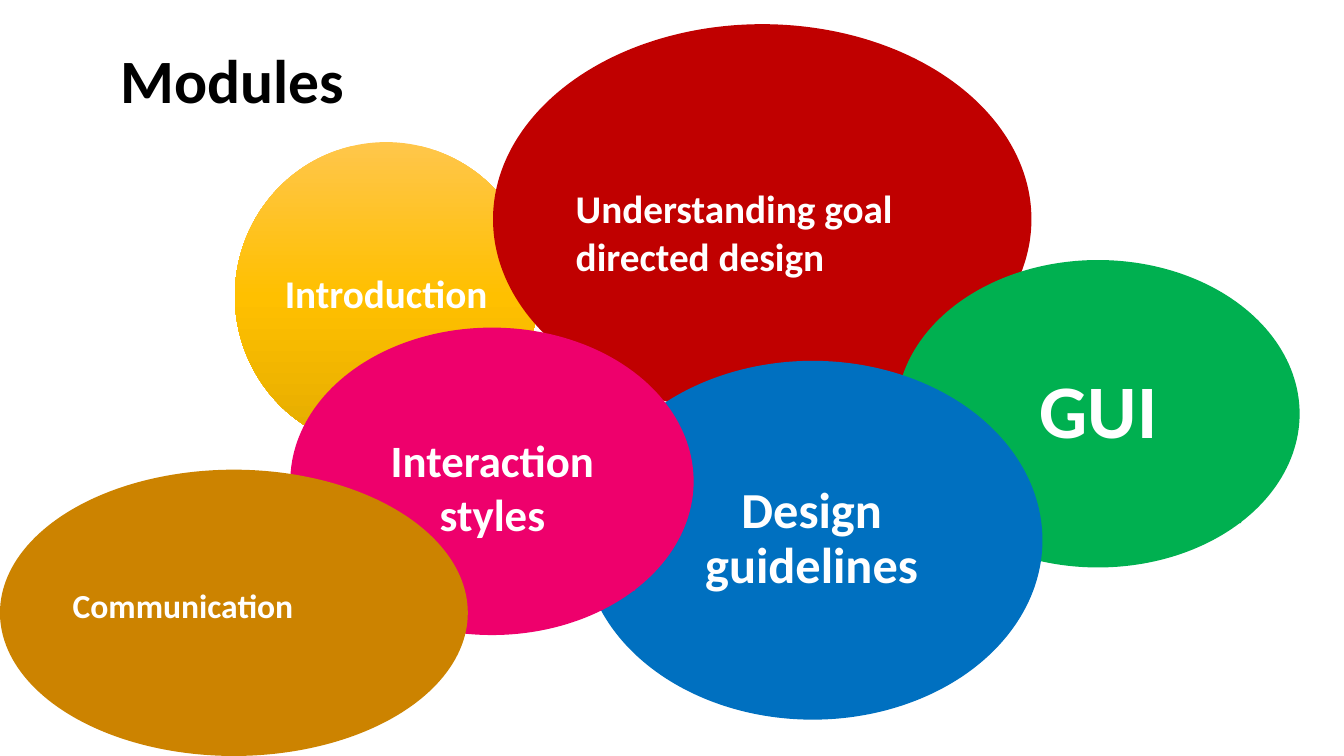
from copy import deepcopy

from pptx import Presentation
from pptx.dml.color import RGBColor
from pptx.enum.shapes import MSO_SHAPE
from pptx.enum.text import MSO_ANCHOR, PP_ALIGN
from pptx.util import Pt

OVAL, RECTANGLE = MSO_SHAPE.OVAL, MSO_SHAPE.RECTANGLE
MIDDLE = MSO_ANCHOR.MIDDLE
LEFT, CENTER = PP_ALIGN.LEFT, PP_ALIGN.CENTER

PX = 9144  # EMU in one px, 100 px to the inch
FONT = "Calibri"
BLACK = RGBColor(0x00, 0x00, 0x00)
WHITE = RGBColor(0xFF, 0xFF, 0xFF)
RED = RGBColor(0xC0, 0x00, 0x00)
GREEN = RGBColor(0x00, 0xB0, 0x50)
BLUE = RGBColor(0x00, 0x70, 0xC0)
PINK = RGBColor(0xEE, 0x00, 0x6C)
OCHRE = RGBColor(0xCC, 0x83, 0x00)
GOLDS = [
    (0, RGBColor(0xFF, 0xC6, 0x4B)),
    (0.5, RGBColor(0xFF, 0xC0, 0x00)),
    (1, RGBColor(0xE3, 0xAB, 0x00)),
]

# Content, from back to front; places are left, top, width, height in px
TITLE = ("Modules", (110, 41, 1091, 83), 44)
# label, oval place, label place, oval fill, label fill, size, align, line spacing
MODULES = [
    ("Introduction", (233, 141, 300, 305), (233, 141, 300, 305), GOLDS, None, 28, CENTER, 0.9),
    ("Understanding goal directed design", (489, 24, 534, 387), (567, 81, 435, 298),
     RED, None, 28, LEFT, 1.0),
    ("GUI", (889, 258, 400, 305), (948, 303, 283, 216), GREEN, GREEN, 54, CENTER, 0.9),
    ("Design guidelines", (578, 358, 456, 356), (644, 410, 322, 251), BLUE, BLUE, 36, CENTER, 0.9),
    ("Interaction styles", (288, 325, 400, 305), (347, 379, 283, 207), PINK, PINK, 32, CENTER, 1.0),
    ("Communication", (0, 466, 464, 284), (68, 508, 309, 185), OCHRE, OCHRE, 24, LEFT, 1.0),
]


def scaled(place):
    return [length * PX for length in place]


def fill_gradient(shape, stops):
    fill = shape.fill
    fill.gradient()
    fill.gradient_angle = 270  # top to bottom
    stop_list = shape._element.spPr.xpath(".//a:gsLst")[0]
    stop_list.append(deepcopy(stop_list[0]))
    for stop, (position, color) in zip(fill.gradient_stops, stops):
        stop.position = position
        stop.color.rgb = color


def add_filled(shapes, kind, place, fill):
    shape = shapes.add_shape(kind, *scaled(place))
    shape.shadow.inherit = False
    shape.line.fill.background()
    if isinstance(fill, list):
        fill_gradient(shape, fill)
    else:
        shape.fill.solid()
        shape.fill.fore_color.rgb = fill
    return shape


def write(box, text, size, color, align, spacing):
    frame = box.text_frame
    frame.word_wrap = True
    frame.vertical_anchor = MIDDLE
    paragraph = frame.paragraphs[0]
    paragraph.text = text
    paragraph.alignment = align
    paragraph.line_spacing = spacing
    font = paragraph.font
    font.name, font.size, font.bold = FONT, Pt(size), True
    font.color.rgb = color


deck = Presentation()
deck.slide_width, deck.slide_height = scaled((1333, 750))
page = deck.slides.add_slide(deck.slide_layouts[6])

# Title
text, place, size = TITLE
write(page.shapes.add_textbox(*scaled(place)), text, size, BLACK, LEFT, 0.9)

# Overlapping ovals, each grouped with its label
for label, oval, label_place, oval_fill, label_fill, size, align, spacing in MODULES:
    shapes = page.shapes.add_group_shape().shapes
    add_filled(shapes, OVAL, oval, oval_fill)
    if label_fill is None:
        box = shapes.add_textbox(*scaled(label_place))
    else:
        box = add_filled(shapes, RECTANGLE, label_place, label_fill)
    frame = box.text_frame
    frame.margin_left = frame.margin_right = frame.margin_top = frame.margin_bottom = 4 * PX
    write(box, label, size, WHITE, align, spacing)

deck.save("out.pptx")
